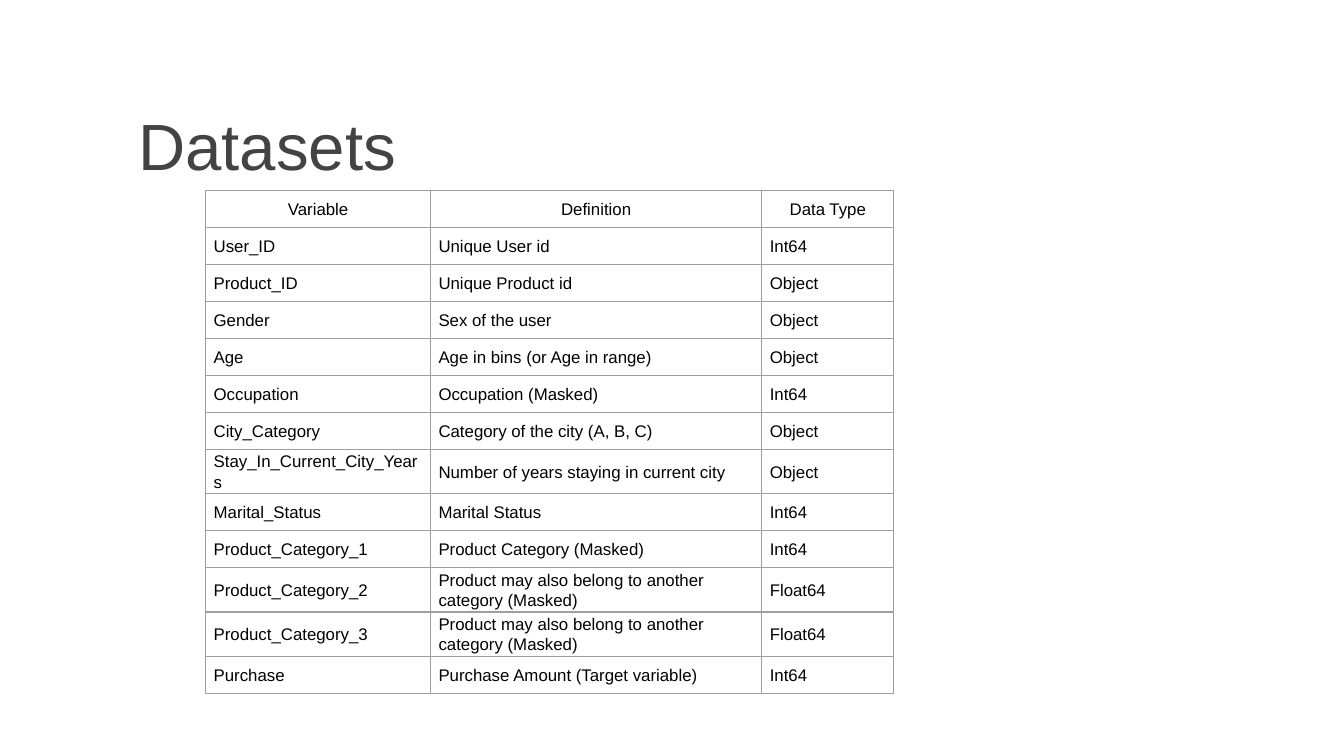
import dataclasses

import pptx
import pptx.dml.color
import pptx.enum.text
import pptx.oxml
import pptx.oxml.ns
import pptx.util

Inches = pptx.util.Inches
Pt = pptx.util.Pt
RGBColor = pptx.dml.color.RGBColor
Align = pptx.enum.text.PP_ALIGN
Anchor = pptx.enum.text.MSO_ANCHOR


@dataclasses.dataclass(frozen=True)
class Theme:
    font: str = "Arial"
    title_size: int = 35
    table_size: int = 9
    title_color: str = "434343"
    table_color: str = "000000"
    border_color: str = "9E9E9E"
    border_width: float = 0.75


THEME = Theme()

# Table content
HEADER = ("Variable", "Definition", "Data Type")
VARIABLES = [
    ("User_ID", "Unique User id", "Int64"),
    ("Product_ID", "Unique Product id", "Object"),
    ("Gender", "Sex of the user", "Object"),
    ("Age", "Age in bins (or Age in range)", "Object"),
    ("Occupation", "Occupation (Masked)", "Int64"),
    ("City_Category", "Category of the city (A, B, C)", "Object"),
    ("Stay_In_Current_City_Years", "Number of years staying in current city", "Object"),
    ("Marital_Status", "Marital Status", "Int64"),
    ("Product_Category_1", "Product Category (Masked)", "Int64"),
    ("Product_Category_2", "Product may also belong to another category (Masked)", "Float64"),
    ("Product_Category_3", "Product may also belong to another category (Masked)", "Float64"),
    ("Purchase", "Purchase Amount (Target variable)", "Int64"),
]
COLUMN_SHARES = (1.67, 2.46, 0.98)
TABLE_WIDTH = 5.12
TABLE_HEIGHT = 3.74
TALL_ROWS = {7, 10, 11}  # rows whose text wraps to two lines
TALL_HEIGHT = 0.33


def style_paragraph(paragraph, size, color):
    for span in paragraph.runs:
        span.font.name = THEME.font
        span.font.size = Pt(size)
        span.font.color.rgb = RGBColor.from_string(color)


def add_title(page, text):
    box = page.shapes.add_textbox(Inches(0.93), Inches(0.68), Inches(8.43), Inches(0.63))
    frame = box.text_frame
    frame.word_wrap = True
    frame.vertical_anchor = Anchor.TOP
    frame.margin_left = frame.margin_right = Inches(0.1)
    frame.margin_top = frame.margin_bottom = Inches(0.1)
    frame.text = text
    style_paragraph(frame.paragraphs[0], THEME.title_size, THEME.title_color)


def add_borders(cell):
    properties = cell._tc.get_or_add_tcPr()
    namespace = pptx.oxml.ns.nsdecls("a")
    for position, side in enumerate(("lnL", "lnR", "lnT", "lnB")):
        border = pptx.oxml.parse_xml(
            f'<a:{side} {namespace} w="{Pt(THEME.border_width)}"><a:solidFill>'
            f'<a:srgbClr val="{THEME.border_color}"/></a:solidFill></a:{side}>'
        )
        properties.insert(position, border)


def fill_cell(cell, text, alignment):
    cell.fill.background()
    add_borders(cell)
    cell.vertical_anchor = Anchor.MIDDLE
    cell.margin_left = cell.margin_right = Inches(0.06)
    cell.margin_top = cell.margin_bottom = 0
    cell.text_frame.text = text
    paragraph = cell.text_frame.paragraphs[0]
    paragraph.alignment = alignment
    paragraph.line_spacing = 1.07
    style_paragraph(paragraph, THEME.table_size, THEME.table_color)


def add_variable_table(page):
    rows = [HEADER, *VARIABLES]
    table = page.shapes.add_table(
        len(rows), len(HEADER), Inches(1.53), Inches(1.42),
        Inches(TABLE_WIDTH), Inches(TABLE_HEIGHT),
    ).table
    table.first_row = table.horz_banding = False
    for column, share in zip(table.columns, COLUMN_SHARES):
        column.width = Inches(TABLE_WIDTH * share / sum(COLUMN_SHARES))

    # Single-line rows share the height left by the tall ones
    tall_total = TALL_HEIGHT * len(TALL_ROWS)
    row_height = (TABLE_HEIGHT - tall_total) / (len(rows) - len(TALL_ROWS))
    for row_index, texts in enumerate(rows):
        height = TALL_HEIGHT if row_index in TALL_ROWS else row_height
        table.rows[row_index].height = Inches(height)
        alignment = Align.LEFT if row_index else Align.CENTER
        for column_index, text in enumerate(texts):
            fill_cell(table.cell(row_index, column_index), text, alignment)


def main():
    deck = pptx.Presentation()
    # Widescreen page, 16 to 9
    deck.slide_width = Inches(10)
    deck.slide_height = Inches(10 * 9 / 16)
    page = deck.slides.add_slide(deck.slide_layouts[6])
    add_title(page, "Datasets")
    add_variable_table(page)
    deck.save("out.pptx")


if __name__ == "__main__":
    main()
